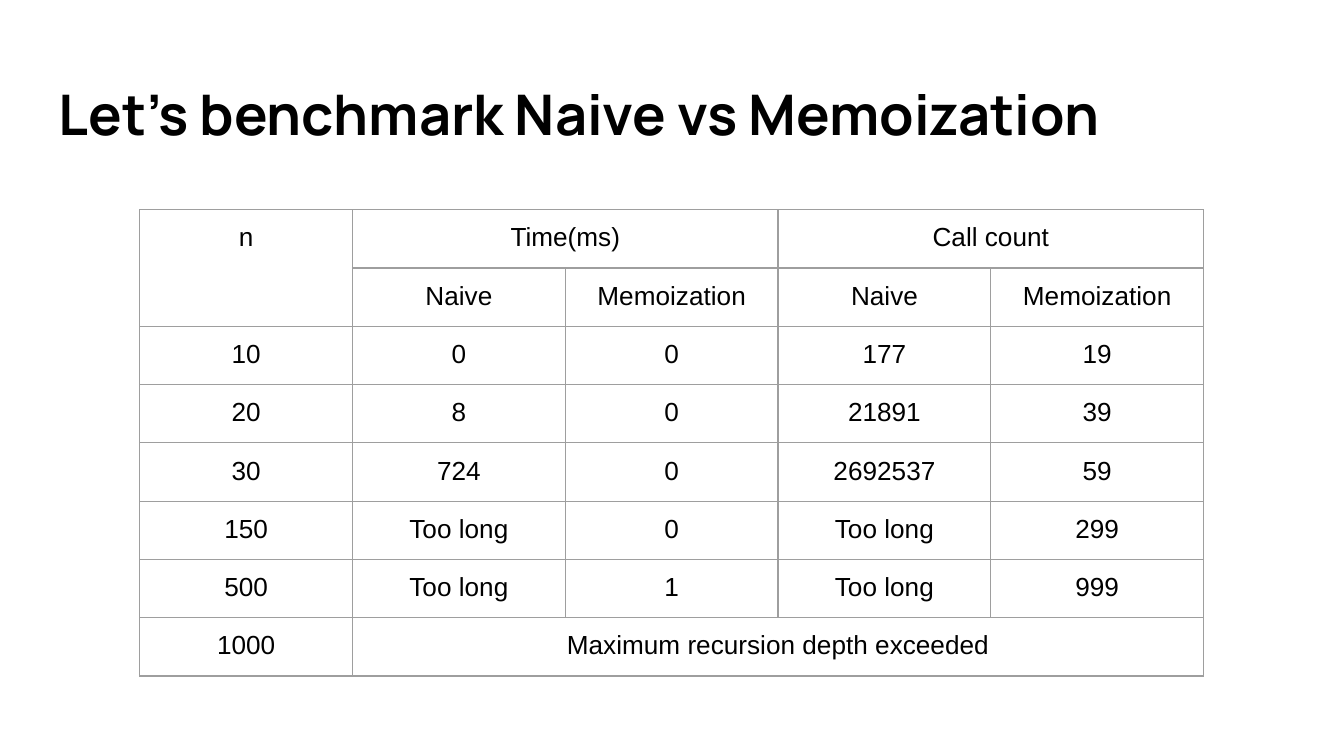
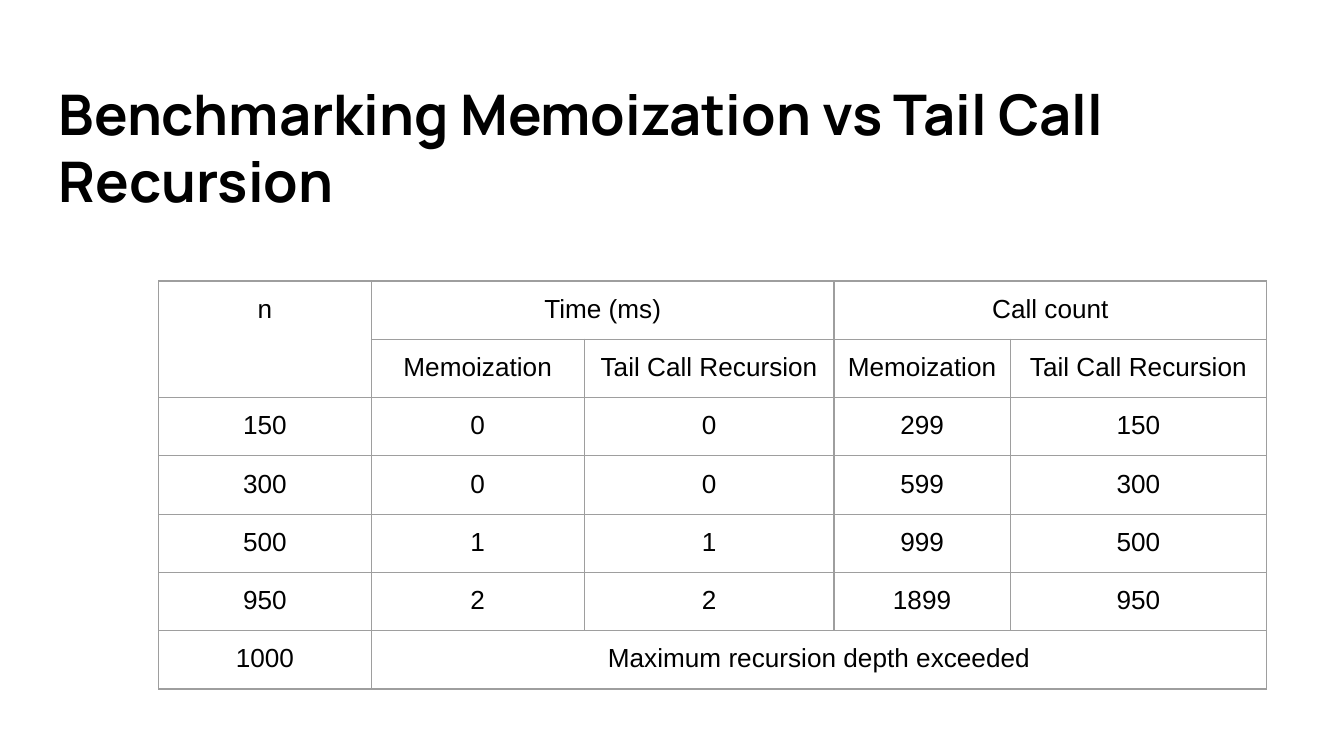
from lxml import etree
from pptx import Presentation
from pptx.dml.color import RGBColor
from pptx.enum.text import MSO_ANCHOR, PP_ALIGN
from pptx.oxml.ns import qn
from pptx.util import Inches, Pt

COLOURS = {"ground": "FFFFFF", "text": "000000", "border": "9E9E9E"}
TITLE_FONT, TABLE_FONT = "Manrope", "Arial"
TOP, CENTER, LEFT = MSO_ANCHOR.TOP, PP_ALIGN.CENTER, PP_ALIGN.LEFT
INSET = Inches(0.1)
BORDER_WIDTH = Pt(0.75)
ROW_HEIGHT = Inches(5) // 12
TITLE_BOX = (0.34, 0.49, 9.32, 0.68)
TABLE_SIZE = (3.28, 3.28)
COLUMN = 9.5 / 6
LIMIT_ROW = ["1000", "Maximum recursion depth exceeded", None, None, None]

BENCHMARKS = [
    {
        "title": "Let’s benchmark Naive vs Memoization",
        "corner": (1.04, 1.56),
        "widths": [COLUMN] * 5,
        "time_label": "Time(ms)",
        "methods": ["Naive", "Memoization"],
        "results": [
            ["10", "0", "0", "177", "19"],
            ["20", "8", "0", "21891", "39"],
            ["30", "724", "0", "2692537", "59"],
            ["150", "Too long", "0", "Too long", "299"],
            ["500", "Too long", "1", "Too long", "999"],
        ],
    },
    {
        "title": "Benchmarking Memoization vs Tail Call Recursion",
        "corner": (1.18, 2.09),
        "widths": [COLUMN, COLUMN, 1.86, 1.31, 1.91],
        "time_label": "Time (ms)",
        "methods": ["Memoization", "Tail Call Recursion"],
        "results": [
            ["150", "0", "0", "299", "150"],
            ["300", "0", "0", "599", "300"],
            ["500", "1", "1", "999", "500"],
            ["950", "2", "2", "1899", "950"],
        ],
    },
]


def colour(name):
    return RGBColor.from_string(COLOURS[name])


def write(para, text, font, size, align, bold=False):
    para.alignment = align
    para.line_spacing = 1.0
    para.space_before = para.space_after = Pt(0)
    span = para.add_run()
    span.text = text
    span.font.name = font
    span.font.size = Pt(size)
    span.font.bold = bold
    span.font.color.rgb = colour("text")


def set_insets(target):
    target.margin_left = target.margin_right = INSET
    target.margin_top = target.margin_bottom = INSET
    target.vertical_anchor = TOP


def add_title(page, box, text):
    frame = page.shapes.add_textbox(*map(Inches, box)).text_frame
    frame.word_wrap = True
    set_insets(frame)
    write(frame.paragraphs[0], text, TITLE_FONT, 30, LEFT, bold=True)


def set_borders(cell):
    cell.fill.background()
    properties = cell._tc.get_or_add_tcPr()
    for index, side in enumerate(("lnL", "lnR", "lnT", "lnB")):
        line = etree.Element(qn(f"a:{side}"), w=str(BORDER_WIDTH))
        fill = etree.SubElement(line, qn("a:solidFill"))
        etree.SubElement(fill, qn("a:srgbClr"), val=COLOURS["border"])
        properties.insert(index, line)


def add_benchmark_table(page, corner, widths, rows):
    box = map(Inches, (*corner, *TABLE_SIZE))
    holder = page.shapes.add_table(len(rows), len(widths), *box)
    table = holder.table
    table.first_row = table.horz_banding = False
    for column, width in zip(table.columns, widths):
        column.width = Inches(width)
    for row_index, values in enumerate(rows):
        table.rows[row_index].height = ROW_HEIGHT
        for column_index, value in enumerate(values):
            cell = table.cell(row_index, column_index)
            set_borders(cell)
            if value is not None:
                set_insets(cell)
                write(cell.text_frame.paragraphs[0], value, TABLE_FONT, 14, CENTER)
    last = len(rows) - 1
    spans = [((0, 0), (1, 0)), ((0, 1), (0, 2)), ((0, 3), (0, 4)), ((last, 1), (last, 4))]
    for start, end in spans:
        table.cell(*start).merge(table.cell(*end))
    holder.width, holder.height = map(Inches, TABLE_SIZE)


def add_benchmark_slide(deck, benchmark):
    page = deck.slides.add_slide(deck.slide_layouts[6])
    page.background.fill.solid()
    page.background.fill.fore_color.rgb = colour("ground")
    add_title(page, TITLE_BOX, benchmark["title"])
    headers = [
        ["n", benchmark["time_label"], None, "Call count", None],
        [None, *benchmark["methods"] * 2],
    ]
    rows = [*headers, *benchmark["results"], LIMIT_ROW]
    add_benchmark_table(page, benchmark["corner"], benchmark["widths"], rows)


deck = Presentation()
deck.slide_width = Inches(10)
deck.slide_height = deck.slide_width * 9 // 16
for benchmark in BENCHMARKS:
    add_benchmark_slide(deck, benchmark)
deck.save("out.pptx")
